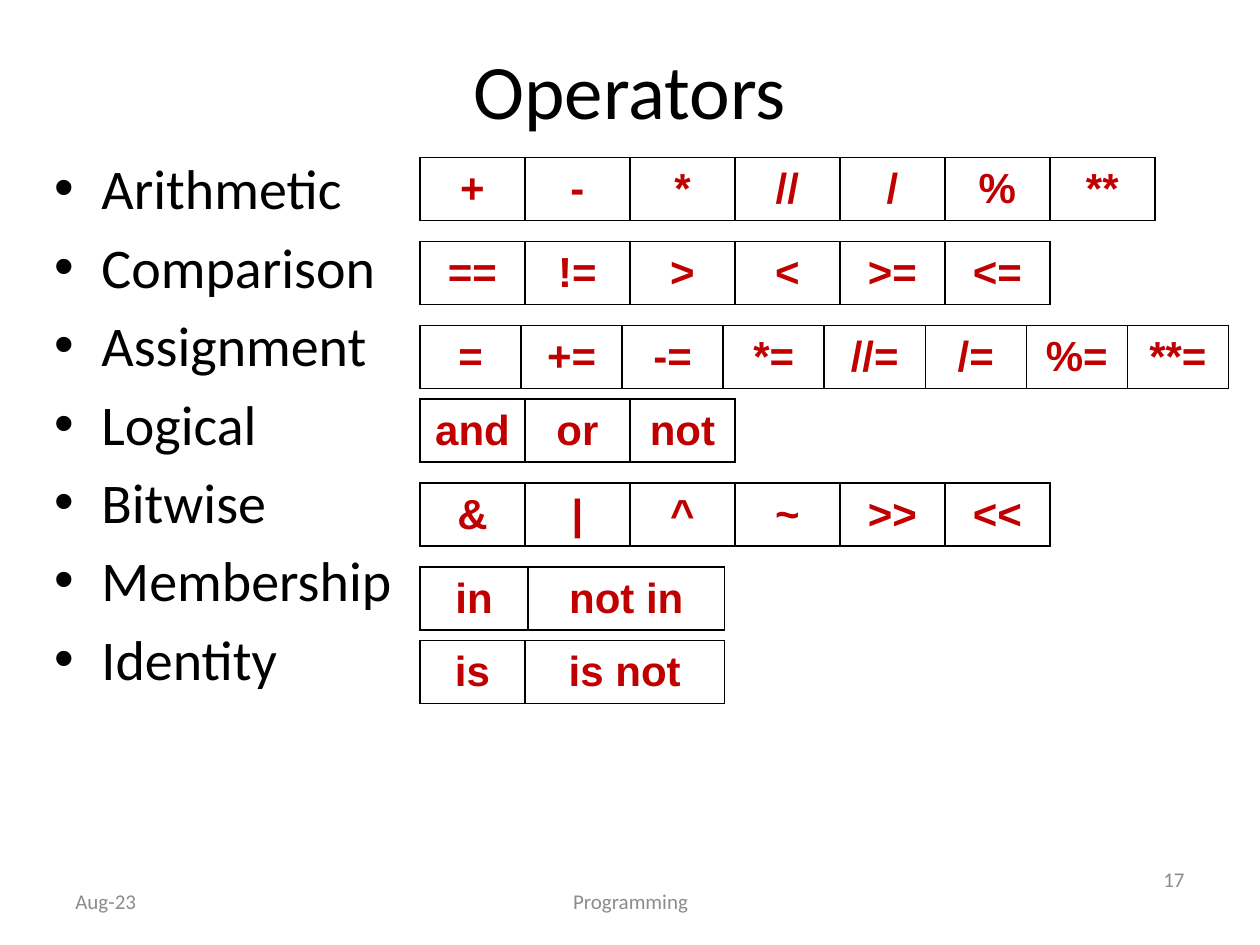
from dataclasses import dataclass

from lxml import etree
from pptx import Presentation
from pptx.dml.color import RGBColor
from pptx.enum.text import MSO_ANCHOR, PP_ALIGN
from pptx.oxml.ns import qn
from pptx.util import Inches, Pt

LEFT, CENTER, RIGHT = PP_ALIGN.LEFT, PP_ALIGN.CENTER, PP_ALIGN.RIGHT
TOP, MIDDLE = MSO_ANCHOR.TOP, MSO_ANCHOR.MIDDLE


@dataclass(frozen=True)
class Theme:
    black: str = "000000"
    red: str = "C00000"
    gray: str = "8C8C8C"
    font: str = "Calibri"
    symbol_font: str = "Arial"
    title: int = 44
    body: int = 32
    symbol: int = 24
    footer: int = 12
    border: int = 1


THEME = Theme()
TITLE = "Operators"

# Grid of twelve units to the inch: name, table top, column widths, symbols
UNIT = 1 / 12
TABLE_LEFT = 40
COL = 10
GROUPS = [
    ("Arithmetic", 15, [COL] * 7, ["+", "-", "*", "//", "/", "%", "**"]),
    ("Comparison", 23, [COL] * 6, ["==", "!=", ">", "<", ">=", "<="]),
    ("Assignment", 31, [77 / 8] * 8,
     ["=", "+=", "-=", "*=", "//=", "/=", "%=", "**="]),
    ("Logical", 38, [COL] * 3, ["and", "or", "not"]),
    ("Bitwise", 46, [COL] * 6, ["&", "|", "^", "~", ">>", "<<"]),
    ("Membership", 54, [10.3, 18.7], ["in", "not in"]),
    ("Identity", 61, [COL, 19], ["is", "is not"]),
]
ROW_HEIGHT = 0.48

# Text, left, top, width, alignment
FOOTERS = [
    ("Aug-23", 0.5, 6.95, 2.33, LEFT),
    ("Programming", 3.42, 6.95, 3.17, CENTER),
    ("17", 7.17, 6.78, 2.33, RIGHT),
]
FOOTER_HEIGHT = 0.4

TITLE_FORMAT = dict(name=THEME.font, size=THEME.title, color=THEME.black)
BODY_FORMAT = dict(name=THEME.font, size=THEME.body, color=THEME.black)
FOOTER_FORMAT = dict(name=THEME.font, size=THEME.footer, color=THEME.gray)
SYMBOL_FORMAT = dict(name=THEME.symbol_font, size=THEME.symbol,
                     color=THEME.red, bold=True)


def place(s, left, top, width, height):
    box = dict(left=left, top=top, width=width, height=height)
    for key, value in box.items():
        setattr(s, key, Inches(value))


def write(tf, lines, fmt, align, anchor):
    tf.word_wrap = True
    tf.vertical_anchor = anchor
    for i, line in enumerate(lines):
        p = tf.paragraphs[0] if i == 0 else tf.add_paragraph()
        p.alignment = align
        r = p.add_run()
        r.text = line
        values = dict(fmt, size=Pt(fmt["size"]))
        r.font.color.rgb = RGBColor.from_string(values.pop("color"))
        for key, value in values.items():
            setattr(r.font, key, value)


def add_borders(cell):
    tc_pr = cell._tc.get_or_add_tcPr()
    for side in ("a:lnL", "a:lnR", "a:lnT", "a:lnB"):
        ln = etree.SubElement(tc_pr, qn(side), w=str(Pt(THEME.border)))
        fill = etree.SubElement(ln, qn("a:solidFill"))
        etree.SubElement(fill, qn("a:srgbClr"), val=THEME.black)


def add_symbols(slide, top, widths, symbols):
    frame = slide.shapes.add_table(
        1, len(symbols), Inches(TABLE_LEFT * UNIT), Inches(top * UNIT),
        Inches(sum(widths) * UNIT), Inches(ROW_HEIGHT))
    table = frame.table
    table.first_row = table.horz_banding = False
    for i, (width, symbol) in enumerate(zip(widths, symbols)):
        table.columns[i].width = Inches(width * UNIT)
        cell = table.cell(0, i)
        add_borders(cell)
        cell.fill.background()
        cell.vertical_anchor = MIDDLE
        write(cell.text_frame, [symbol], SYMBOL_FORMAT, CENTER, None)


def main():
    prs = Presentation()
    prs.slide_width, prs.slide_height = Inches(10), Inches(7.5)
    slide = prs.slides.add_slide(prs.slide_layouts.get_by_name("Title and Content"))

    title, body = slide.placeholders
    place(title, 0.5, 0.08, 9, 1.25)
    write(title.text_frame, [TITLE], TITLE_FORMAT, CENTER, MIDDLE)
    place(body, 0.33, 1.17, 9.33, 5.83)
    write(body.text_frame, [group[0] for group in GROUPS], BODY_FORMAT, LEFT, TOP)

    for text, left, top, width, align in FOOTERS:
        s = slide.shapes.add_textbox(0, 0, 0, 0)
        place(s, left, top, width, FOOTER_HEIGHT)
        write(s.text_frame, [text], FOOTER_FORMAT, align, MIDDLE)

    for _, top, widths, symbols in GROUPS:
        add_symbols(slide, top, widths, symbols)

    prs.save("out.pptx")


if __name__ == "__main__":
    main()
